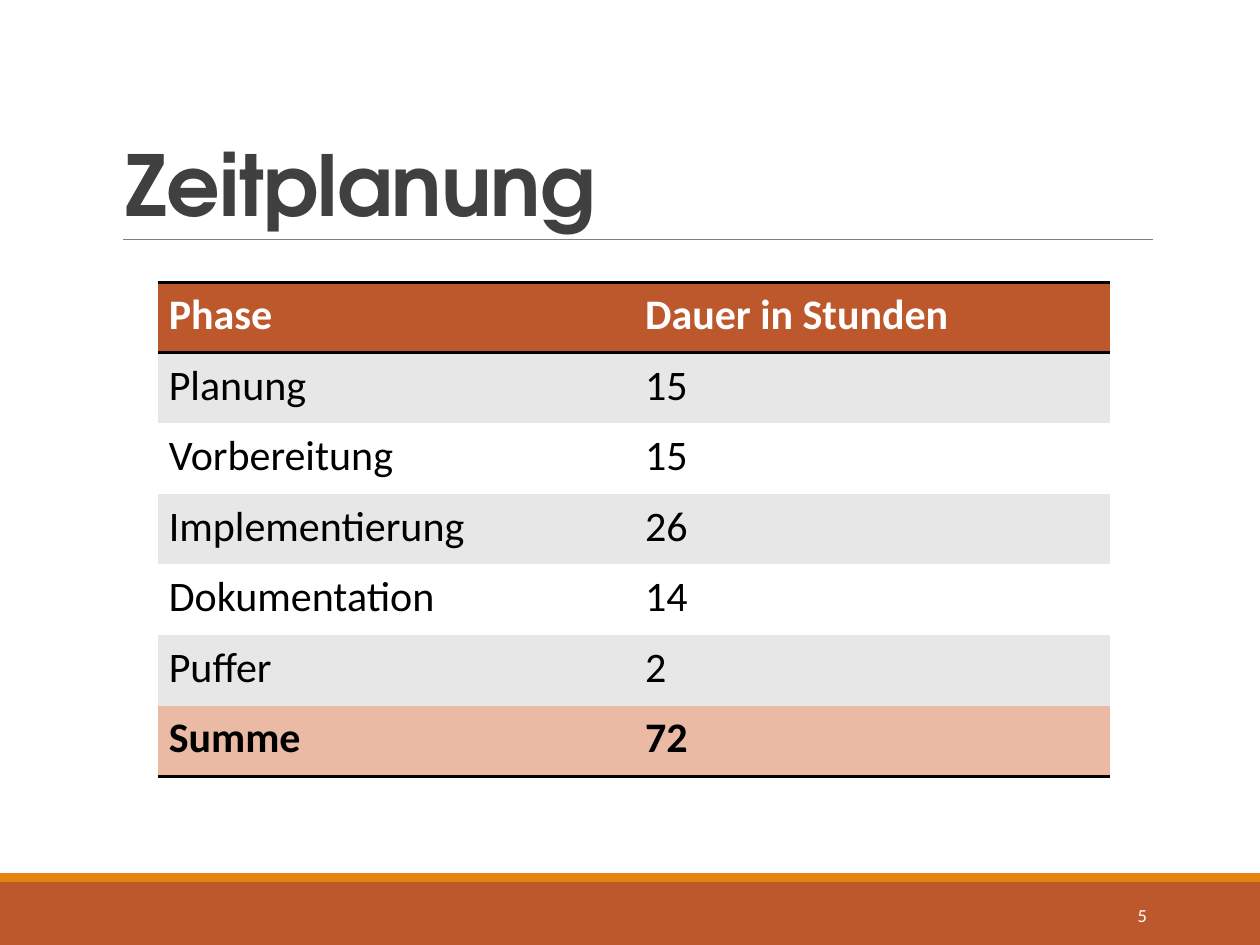
from lxml import etree
from pptx import Presentation
from pptx.dml.color import RGBColor
from pptx.enum import shapes, text
from pptx.oxml import ns
from pptx.util import Inches, Pt

TITLE = "Zeitplanung"
SLIDE_NUMBER = "5"
ROWS = [
    ("Phase", "Dauer in Stunden"),
    ("Planung", "15"),
    ("Vorbereitung", "15"),
    ("Implementierung", "26"),
    ("Dokumentation", "14"),
    ("Puffer", "2"),
    ("Summe", "72"),
]
RUST, ORANGE, PEACH = "BD582C", "E48312", "EABAA5"
WHITE, BLACK, BAND = "FFFFFF", "000000", "E7E7E7"
COLUMN_WIDTH, ROW_HEIGHT = 3.78, 0.56
BARS = [(7, 0.5, RUST), (6.93, 0.07, ORANGE)]  # top, height, colour


def rgb(value):
    return RGBColor.from_string(value)


def paint(fill, color):
    fill.solid()
    fill.fore_color.rgb = rgb(color)


def style_text(frame, size, color, bold=False, font="Calibri"):
    for paragraph in frame.paragraphs:
        for run in paragraph.runs:
            run.font.name = font
            run.font.size = Pt(size)
            run.font.bold = bold
            run.font.color.rgb = rgb(color)


def add_text(slide, box, content, anchor):
    frame = slide.shapes.add_textbox(*map(Inches, box)).text_frame
    frame.word_wrap = True
    frame.vertical_anchor = anchor
    frame.text = content
    return frame


def set_borders(cell, ruled_sides):
    """Draw a 2 pt black line on the ruled sides and none on the others."""
    properties = cell._tc.get_or_add_tcPr()
    for side in "LRTB":
        line = etree.SubElement(properties, ns.qn(f"a:ln{side}"), w=str(Pt(2)))
        if side in ruled_sides:
            fill = etree.SubElement(line, ns.qn("a:solidFill"))
            etree.SubElement(fill, ns.qn("a:srgbClr"), val=BLACK)
        else:
            etree.SubElement(line, ns.qn("a:noFill"))


def row_style(index):
    """Return fill, text colour, bold and ruled sides of a table row."""
    if index == 0:
        return RUST, WHITE, True, "TB"
    if index == len(ROWS) - 1:
        return PEACH, BLACK, True, "B"
    return (BAND if index % 2 else WHITE), BLACK, False, "T" if index == 1 else ""


def add_schedule(slide):
    columns = len(ROWS[0])
    table = slide.shapes.add_table(
        len(ROWS), columns, Inches(1.25), Inches(2.24),
        Inches(columns * COLUMN_WIDTH), Inches(len(ROWS) * ROW_HEIGHT)).table
    for column in table.columns:
        column.width = Inches(COLUMN_WIDTH)
    for index, values in enumerate(ROWS):
        table.rows[index].height = Inches(ROW_HEIGHT)
        fill, color, bold, ruled_sides = row_style(index)
        for cell, value in zip(table.rows[index].cells, values):
            cell.text = value
            cell.margin_left = cell.margin_right = Inches(0.09)
            cell.margin_top = cell.margin_bottom = Inches(0.06)
            set_borders(cell, ruled_sides)
            paint(cell.fill, fill)
            style_text(cell.text_frame, 24, color, bold)


def main():
    presentation = Presentation()
    presentation.slide_width, presentation.slide_height = Inches(10), Inches(7.5)
    slide = presentation.slides.add_slide(presentation.slide_layouts[6])

    for top, height, color in BARS:
        bar = slide.shapes.add_shape(shapes.MSO_SHAPE.RECTANGLE, 0, Inches(top),
                                     presentation.slide_width, Inches(height))
        bar.shadow.inherit = False
        paint(bar.fill, color)
        bar.line.fill.background()

    rule = slide.shapes.add_connector(shapes.MSO_CONNECTOR.STRAIGHT, Inches(0.98),
                                      Inches(1.9), Inches(9.15), Inches(1.9))
    rule.line.color.rgb = rgb("808080")
    rule.line.width = Pt(0.5)
    etree.SubElement(rule._element.spPr, ns.qn("a:effectLst"))

    title = add_text(slide, (0.9, 0.31, 8.25, 1.59), TITLE, text.MSO_ANCHOR.BOTTOM)
    style_text(title, 48, "404040", True, "TeX Gyre Adventor")
    title.paragraphs[0].line_spacing = 0.85
    title.paragraphs[0].runs[0].font._element.set("spc", "-50")

    add_schedule(slide)

    number = add_text(slide, (8.12, 7.06, 1.08, 0.4), SLIDE_NUMBER,
                      text.MSO_ANCHOR.MIDDLE)
    style_text(number, 10.5, WHITE)
    number.paragraphs[0].alignment = text.PP_ALIGN.RIGHT

    presentation.save("out.pptx")


if __name__ == "__main__":
    main()
